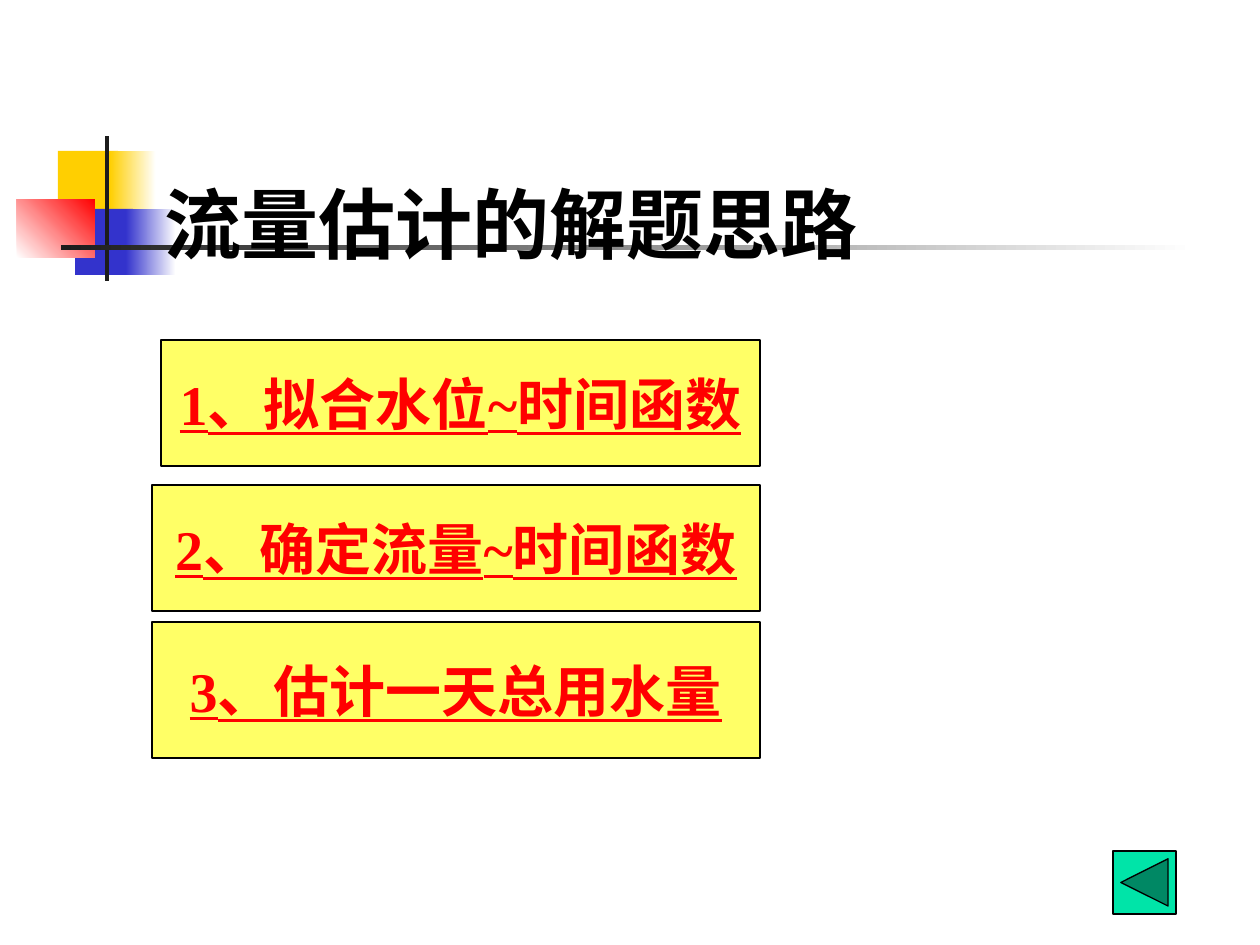
from pptx import Presentation
from pptx.dml.color import RGBColor
from pptx.enum.shapes import MSO_SHAPE as SHAPE
from pptx.enum.text import MSO_ANCHOR as ANCHOR, MSO_AUTO_SIZE as AUTO, PP_ALIGN as ALIGN
from pptx.util import Pt

SCALE = 914400 / 126
FONT = "Times New Roman"


def px(n):
    return round(n * SCALE)


def rgb(hex_color):
    return RGBColor.from_string(hex_color)


def add_block(slide, kind, box, colors, angle=0, outline=False):
    """One colour gives a solid fill, two give a gradient."""
    sp = slide.shapes.add_shape(kind, *map(px, box))
    sp.shadow.inherit = False
    if len(colors) == 1:
        sp.fill.solid()
        sp.fill.fore_color.rgb = rgb(colors[0])
    else:
        sp.fill.gradient()
        sp.fill.gradient_angle = angle
        for stop, color in zip(sp.fill.gradient_stops, colors):
            stop.color.rgb = rgb(color)
    if outline:
        sp.line.color.rgb = rgb("000000")
        sp.line.width = Pt(0.75)
    else:
        sp.line.fill.background()
    return sp


def set_text(sp, text, color, frame, **font):
    tf = sp.text_frame
    for name, value in frame.items():
        setattr(tf, name, value)
    r = tf.paragraphs[0].add_run()
    r.text = text
    r.font.color.rgb = rgb(color)
    for name, value in dict(name=FONT, bold=True, **font).items():
        setattr(r.font, name, value)
    return tf.paragraphs[0]


def add_ornament(slide, left, top):
    """Coloured squares crossed by two dark bars."""
    parts = [
        ((41, 15, 60, 66), ["FFCF01"], 0),
        ((93, 15, 46, 66), ["FFCF01", "FFFFFF"], 0),
        ((58, 73, 58, 66), ["3333CC"], 0),
        ((109, 73, 50, 66), ["3333CC", "FFFFFF"], 0),
        ((0, 63, 78, 59), ["FFFFFF", "FF0000"], 45),
        ((88, 0, 4, 145), ["1C1C1C"], 0),
        ((44, 109, 1134, 5), ["1C1C1C", "FFFFFF"], 0),
    ]
    for (x, y, w, h), colors, angle in parts:
        add_block(slide, SHAPE.RECTANGLE, (left + x, top + y, w, h), colors, angle)


def add_title(slide, box, text):
    tb = slide.shapes.add_textbox(*map(px, box))
    frame = dict(word_wrap=False, auto_size=AUTO.SHAPE_TO_FIT_TEXT)
    set_text(tb, text, "000000", frame, size=Pt(44))


def add_steps(slide, right, steps):
    """Yellow buttons that share their right edge."""
    for left, top, height, text in steps:
        sp = add_block(slide, SHAPE.ACTION_BUTTON_CUSTOM,
                       (left, top, right - left, height), ["FFFF66"], outline=True)
        frame = dict(word_wrap=False, vertical_anchor=ANCHOR.MIDDLE)
        p = set_text(sp, text, "FF0000", frame, size=Pt(32), underline=True)
        p.alignment = ALIGN.CENTER


def add_back_button(slide, box):
    add_block(slide, SHAPE.ACTION_BUTTON_BACK_OR_PREVIOUS, box, ["00E4A8"], outline=True)


prs = Presentation()
prs.slide_width, prs.slide_height = px(1260), px(945)
slide = prs.slides.add_slide(prs.slide_layouts[6])

add_ornament(slide, 17, 136)
add_title(slide, (152, 170, 721, 105), "流量估计的解题思路")
add_steps(slide, 760, [
    (161, 340, 126, "1、拟合水位~时间函数"),
    (152, 485, 126, "2、确定流量~时间函数"),
    (152, 622, 136, "3、估计一天总用水量"),
])
add_back_button(slide, (1113, 851, 63, 63))

prs.save("out.pptx")
